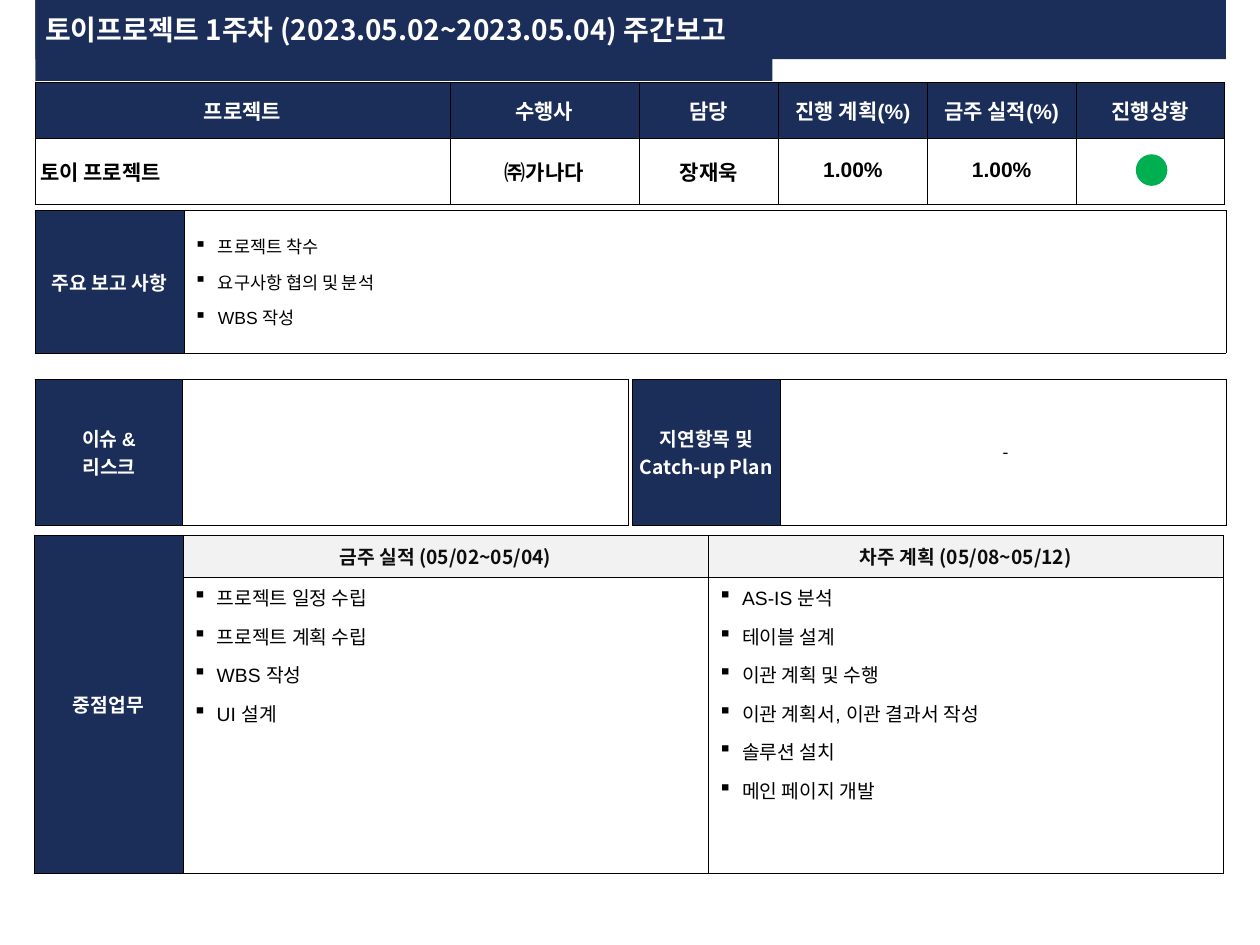
import dataclasses

import pptx
import pptx.dml.color
import pptx.enum.shapes
import pptx.enum.text
import pptx.oxml
import pptx.oxml.ns
import pptx.util

Inches = pptx.util.Inches
Pt = pptx.util.Pt
Align = pptx.enum.text.PP_ALIGN
Anchor = pptx.enum.text.MSO_ANCHOR
Shape = pptx.enum.shapes.MSO_SHAPE


@dataclasses.dataclass(frozen=True)
class Theme:
    navy: str = "1B2E5A"
    white: str = "FFFFFF"
    black: str = "000000"
    ink: str = "0D0D0D"
    pale: str = "F2F2F2"
    green: str = "00B050"
    latin: str = "Arial"
    korean: str = "Noto Sans CJK KR"
    title_size: float = 16
    status_size: float = 12
    label_size: float = 11
    note_size: float = 10
    border: float = 0.25


def rgb(value):
    return pptx.dml.color.RGBColor.from_string(value)


class Report:
    def __init__(self, slide, theme):
        self.slide = slide
        self.theme = theme

    def shape(self, preset, box, color):
        shape = self.slide.shapes.add_shape(preset, *map(Inches, box))
        shape.shadow.inherit = False
        shape.fill.solid()
        shape.fill.fore_color.rgb = rgb(color)
        shape.line.color.rgb = rgb(color)
        shape.line.width = Pt(0.75)
        return shape

    def run(self, paragraph, text, size, color, font, bold):
        run = paragraph.add_run()
        run.text = text
        run.font.size = Pt(size)
        run.font.bold = bold
        run.font.color.rgb = rgb(color)
        run.font.name = font
        east_asian = pptx.oxml.parse_xml(
            f'<a:ea {pptx.oxml.ns.nsdecls("a")} typeface="{self.theme.korean}"/>')
        run.font._element.find(pptx.oxml.ns.qn("a:latin")).addnext(east_asian)

    def title(self, text, box):
        bar = self.shape(Shape.RECTANGLE, (0.28, 0, 9.45, 0.47), self.theme.navy)
        bar.line.fill.background()
        title = self.slide.shapes.title
        title._element.addprevious(bar._element)
        title.left, title.top, title.width, title.height = map(Inches, box)
        title.fill.solid()
        title.fill.fore_color.rgb = rgb(self.theme.navy)
        frame = title.text_frame
        frame.word_wrap = False
        frame.auto_size = pptx.enum.text.MSO_AUTO_SIZE.SHAPE_TO_FIT_TEXT
        frame.vertical_anchor = Anchor.MIDDLE
        frame.margin_left = frame.margin_right = Inches(0.08)
        frame.margin_top = frame.margin_bottom = Inches(0.04)
        frame.paragraphs[0].alignment = Align.LEFT
        self.run(frame.paragraphs[0], text, self.theme.title_size,
                 self.theme.white, self.theme.korean, True)

    def table(self, left, top, columns, rows):
        table = self.slide.shapes.add_table(
            len(rows), len(columns), Inches(left), Inches(top),
            Inches(sum(columns)), Inches(sum(rows))).table
        table.first_row = table.horz_banding = False
        for column, width in zip(table.columns, columns):
            column.width = Inches(width)
        for row, height in zip(table.rows, rows):
            row.height = Inches(height)
        for cell in table.iter_cells():
            for edge in ("lnL", "lnR", "lnT", "lnB"):
                cell._tc.get_or_add_tcPr().append(pptx.oxml.parse_xml(
                    f'<a:{edge} {pptx.oxml.ns.nsdecls("a")} w="{Pt(self.theme.border)}">'
                    f'<a:solidFill><a:srgbClr val="{self.theme.black}"/></a:solidFill>'
                    f'</a:{edge}>'))
            cell.fill.background()
        return table

    def cell(self, cell, lines, size, color=None, font=None, bold=True, fill=None,
             align=Align.CENTER, before=0, after=0, left=0.04, margin=0.05,
             anchor=Anchor.MIDDLE, bullet=False, spacing=None):
        if fill:
            cell.fill.solid()
            cell.fill.fore_color.rgb = rgb(fill)
        cell.vertical_anchor = anchor
        cell.margin_left, cell.margin_right = Inches(left), Inches(0.04)
        cell.margin_top = cell.margin_bottom = Inches(margin)
        for index, line in enumerate(lines):
            frame = cell.text_frame
            paragraph = frame.add_paragraph() if index else frame.paragraphs[0]
            paragraph.alignment = align
            paragraph.space_before = Pt(before)
            paragraph.space_after = Pt(after)
            if spacing:
                paragraph.line_spacing = spacing
            if bullet:
                properties = paragraph._p.get_or_add_pPr()
                properties.set("marL", str(Inches(0.19)))
                properties.set("indent", str(-Inches(0.19)))
                properties.append(pptx.oxml.parse_xml(
                    f'<a:buChar {pptx.oxml.ns.nsdecls("a")} char="▪"/>'))
            self.run(paragraph, line, size, color or self.theme.black,
                     font or self.theme.latin, bold)

    def label(self, cell, lines, font=None):
        self.cell(cell, lines, self.theme.label_size, self.theme.white, font,
                  fill=self.theme.navy)

    def bullets(self, cell, lines, size, anchor):
        self.cell(cell, lines, size, bold=False, align=Align.LEFT, after=6,
                  left=0.08, anchor=anchor, bullet=True)


def main():
    deck = pptx.Presentation()
    deck.slide_width, deck.slide_height = Inches(10), Inches(7.5)
    theme = Theme()
    report = Report(deck.slides.add_slide(deck.slide_layouts[5]), theme)
    report.title("토이프로젝트 1주차 (2023.05.02~2023.05.04) 주간보고",
                 (0.28, 0.06, 5.85, 0.35))

    status = report.table(0.28, 0.65, [3.29, 1.5, 1.11, 1.18, 1.18, 1.18], [0.45, 0.52])
    headings = ["프로젝트", "수행사", "담당", "진행 계획(%)", "금주 실적(%)", "진행상황"]
    for column, heading in enumerate(headings):
        report.cell(status.cell(0, column), [heading], theme.status_size, theme.white,
                    fill=theme.navy, before=2.4, margin=0.04)
    values = [("토이 프로젝트", theme.korean, Align.LEFT, 2.4, None),
              ("㈜가나다", theme.korean, Align.CENTER, 2.4, None),
              ("장재욱", theme.latin, Align.CENTER, 6, None),
              ("1.00%", theme.latin, Align.CENTER, 2.4, 0.9),
              ("1.00%", theme.latin, Align.CENTER, 2.4, 0.9)]
    for column, (value, font, align, before, spacing) in enumerate(values):
        report.cell(status.cell(1, column), [value], theme.status_size, font=font,
                    align=align, before=before, margin=0.04, spacing=spacing)
    report.shape(Shape.OVAL, (9.02, 1.23, 0.24, 0.24), theme.green)

    tasks = report.table(0.27, 4.25, [1.18, 4.17, 4.09], [0.33, 2.35])
    tasks.cell(0, 0).merge(tasks.cell(1, 0))
    report.label(tasks.cell(0, 0), ["중점업무"], theme.korean)
    weeks = [
        ("금주 실적 (05/02~05/04)",
         ["프로젝트 일정 수립", "프로젝트 계획 수립", "WBS 작성", "UI 설계"]),
        ("차주 계획 (05/08~05/12)",
         ["AS-IS 분석", "테이블 설계", "이관 계획 및 수행",
          "이관 계획서, 이관 결과서 작성", "솔루션 설치", "메인 페이지 개발"]),
    ]
    for column, (week, items) in enumerate(weeks, 1):
        report.cell(tasks.cell(0, column), [week], theme.label_size, theme.ink,
                    theme.korean, fill=theme.pale, before=2.2)
        report.bullets(tasks.cell(1, column), items, theme.label_size, Anchor.TOP)

    issues = report.table(0.28, 3.01, [1.17, 3.54], [1.16])
    report.label(issues.cell(0, 0), ["이슈 &", "리스크"])

    highlights = report.table(0.28, 1.67, [1.18, 8.27], [1.13])
    report.label(highlights.cell(0, 0), ["주요 보고 사항"])
    report.bullets(highlights.cell(0, 1), ["프로젝트 착수", "요구사항 협의 및 분석", "WBS 작성"],
                   theme.note_size, Anchor.MIDDLE)

    delays = report.table(5.02, 3.01, [1.17, 3.54], [1.16])
    report.label(delays.cell(0, 0), ["지연항목 및", "Catch-up Plan"], theme.korean)
    report.cell(delays.cell(0, 1), ["-"], theme.note_size, bold=False, after=6, left=0.08)

    deck.save("out.pptx")


if __name__ == "__main__":
    main()
